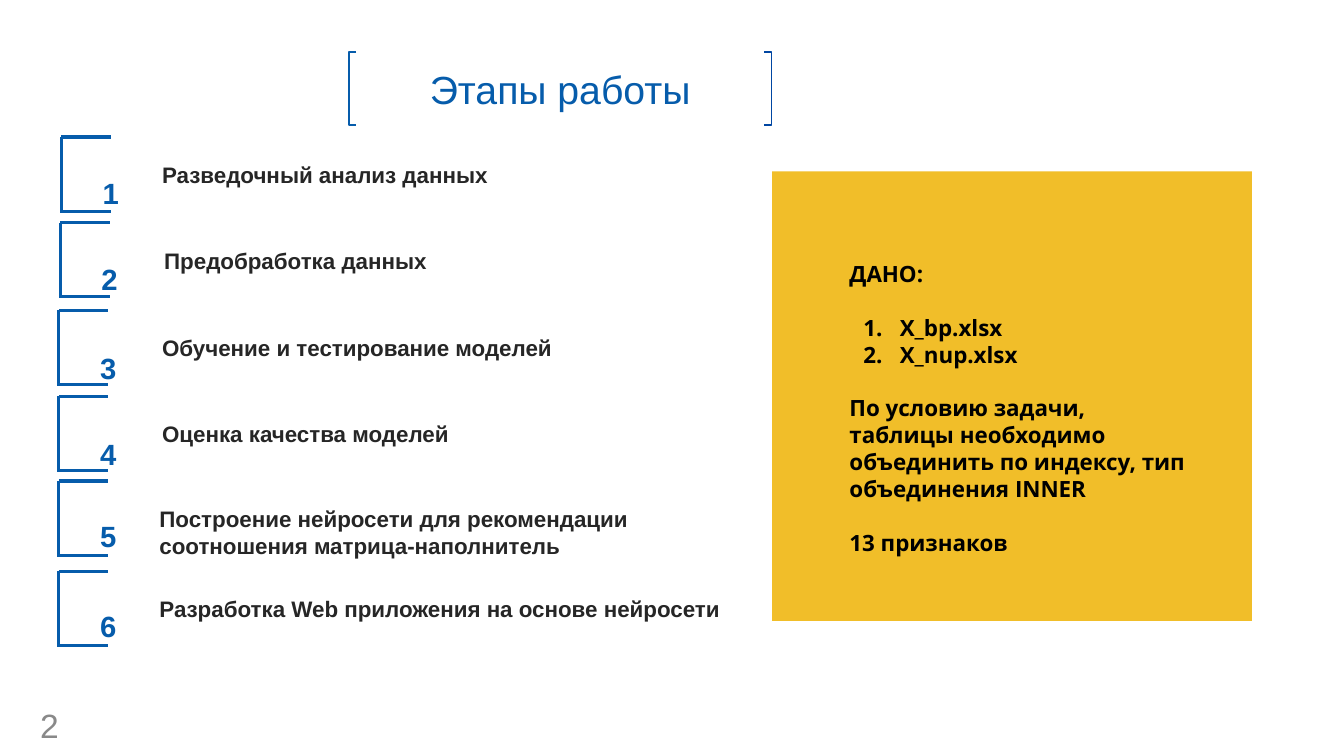
from lxml.etree import SubElement
from pptx import Presentation
from pptx.dml.color import RGBColor
from pptx.enum.shapes import MSO_CONNECTOR, MSO_SHAPE
from pptx.enum.text import MSO_ANCHOR, MSO_AUTO_SIZE, PP_ALIGN
from pptx.oxml.ns import qn
from pptx.util import Pt

BLUE = RGBColor(0x06, 0x5C, 0xAB)
DEEP_BLUE = RGBColor(0x00, 0x46, 0xA2)
YELLOW = RGBColor(0xF1, 0xBE, 0x29)
WHITE = RGBColor(0xFF, 0xFF, 0xFF)
BLACK = RGBColor(0x00, 0x00, 0x00)
DARK = RGBColor(0x26, 0x26, 0x26)
GREY = RGBColor(0x89, 0x89, 0x89)

STEPS = [
    (43.9, 97.9, 64.8, 19.4, ["Разведочный анализ данных"]),
    (43, 159.1, 67.2, 19.4, ["Предобработка данных"]),
    (42, 221.8, 66.7, 20.9, ["Обучение и тестирование моделей"]),
    (42, 283, 66.7, 20.9, ["Оценка качества моделей"]),
    (42, 343.6, 64.8, 18.7, ["Построение нейросети для рекомендации",
                             "соотношения матрица-наполнитель"]),
    (42, 408.2, 64.8, 18.7, ["Разработка Web приложения на основе нейросети"]),
]
CONDITIONS = [
    ("ДАНО:", False, 0),
    ("X_bp.xlsx", True, 19.2),
    ("X_nup.xlsx", True, 0),
    ("По условию задачи, таблицы необходимо объединить по индексу, тип объединения INNER",
     False, 19.2),
    ("13 признаков", False, 19.2),
]


def style(paragraph, size, color, bold=False, name="Arial"):
    font = paragraph.font
    font.name, font.size, font.bold = name, Pt(size), bold
    font.color.rgb = color


def add_text(slide, left, top, width, height, lines, size, color, bold=False):
    frame = slide.shapes.add_textbox(Pt(left), Pt(top), Pt(width), Pt(height)).text_frame
    frame.word_wrap = True
    frame.text = "\n".join(lines)
    for paragraph in frame.paragraphs:
        style(paragraph, size, color, bold)
    return frame


def add_line(slide, x1, y1, x2, y2):
    line = slide.shapes.add_connector(MSO_CONNECTOR.STRAIGHT, Pt(x1), Pt(y1), Pt(x2), Pt(y2))
    line.line.color.rgb = BLUE
    line.line.width = Pt(2.25)
    SubElement(line._element.spPr, qn("a:effectLst"))


def add_panel(slide, left, top, width, height):
    panel = slide.shapes.add_shape(MSO_SHAPE.RECTANGLE, Pt(left), Pt(top), Pt(width), Pt(height))
    panel.shadow.inherit = False
    panel.fill.solid()
    panel.fill.fore_color.rgb = YELLOW
    panel.line.fill.background()
    return panel


def add_heading(slide, left, top, width, height):
    title = slide.shapes.title
    title.left, title.top, title.width, title.height = Pt(left), Pt(top), Pt(width), Pt(height)
    title.fill.solid()
    title.fill.fore_color.rgb = WHITE
    title.line.color.rgb = WHITE
    title.line.width = Pt(2)
    frame = title.text_frame
    frame.text = "Этапы работы"
    frame.auto_size = MSO_AUTO_SIZE.NONE
    frame.vertical_anchor = MSO_ANCHOR.MIDDLE
    frame.paragraphs[0].alignment = PP_ALIGN.CENTER
    style(frame.paragraphs[0], 28, BLUE)
    for edge, lip, color in ((left, 5.2, BLUE), (left + width, -5.2, DEEP_BLUE)):
        builder = slide.shapes.build_freeform(Pt(edge + lip), Pt(top))
        builder.add_line_segments(
            [(Pt(edge), Pt(top)), (Pt(edge), Pt(top + height)),
             (Pt(edge + lip), Pt(top + height))], close=False)
        bracket = builder.convert_to_shape()
        bracket.shadow.inherit = False
        bracket.fill.background()
        bracket.line.color.rgb = color
        bracket.line.width = Pt(1.3)


def add_step(slide, left, top, label_shift, number_drop, number, lines):
    add_line(slide, left, top, left, top + 54)
    for y in (top, top + 53):
        add_line(slide, left, y, left + 35.5, y)
    add_text(slide, left + label_shift, top + 13.6, 489.6, 26.6, lines, 16, DARK, True)
    digit = add_text(slide, left + 22.4, top + number_drop, 85, 36, [str(number)], 36, BLUE, True)
    digit.paragraphs[0].runs[0]._r.get_or_add_rPr().set("baseline", "30000")


def add_conditions(slide, left, top, width, height):
    add_panel(slide, left, top, width, height)
    frame = add_panel(slide, left + 48.2, top + 56.2, 259.2, 227.5).text_frame
    frame.word_wrap = True
    frame.vertical_anchor = MSO_ANCHOR.TOP
    frame.margin_left = frame.margin_right = frame.margin_top = frame.margin_bottom = Pt(7.2)
    frame.text = "\n".join(text for text, _, _ in CONDITIONS)
    for paragraph, (_, numbered, gap) in zip(frame.paragraphs, CONDITIONS):
        paragraph.alignment = PP_ALIGN.LEFT
        if numbered:
            properties = paragraph._p.get_or_add_pPr()
            properties.set("marL", str(Pt(36)))
            properties.set("indent", str(-Pt(26)))
            color = SubElement(properties, qn("a:buClr"))
            SubElement(color, qn("a:srgbClr"), val=str(BLACK))
            SubElement(properties, qn("a:buAutoNum"), type="arabicPeriod")
        paragraph.space_before = Pt(gap)
        style(paragraph, 16, BLACK, True, "Open Sans")


def main():
    deck = Presentation()
    deck.slide_width, deck.slide_height = Pt(960), Pt(540)
    slide = deck.slides.add_slide(deck.slide_layouts[5])
    add_heading(slide, 249.1, 36.9, 302, 52.4)
    page = add_text(slide, 21.6, 506.9, 44.6, 21.6, ["2"], 24, GREY)
    page.vertical_anchor = MSO_ANCHOR.MIDDLE
    add_conditions(slide, 551.5, 122.4, 342.7, 321.1)
    for number, (left, top, label_shift, number_drop, lines) in enumerate(STEPS, 1):
        add_step(slide, left, top, label_shift, number_drop, number, lines)
    deck.save("out.pptx")


if __name__ == "__main__":
    main()
